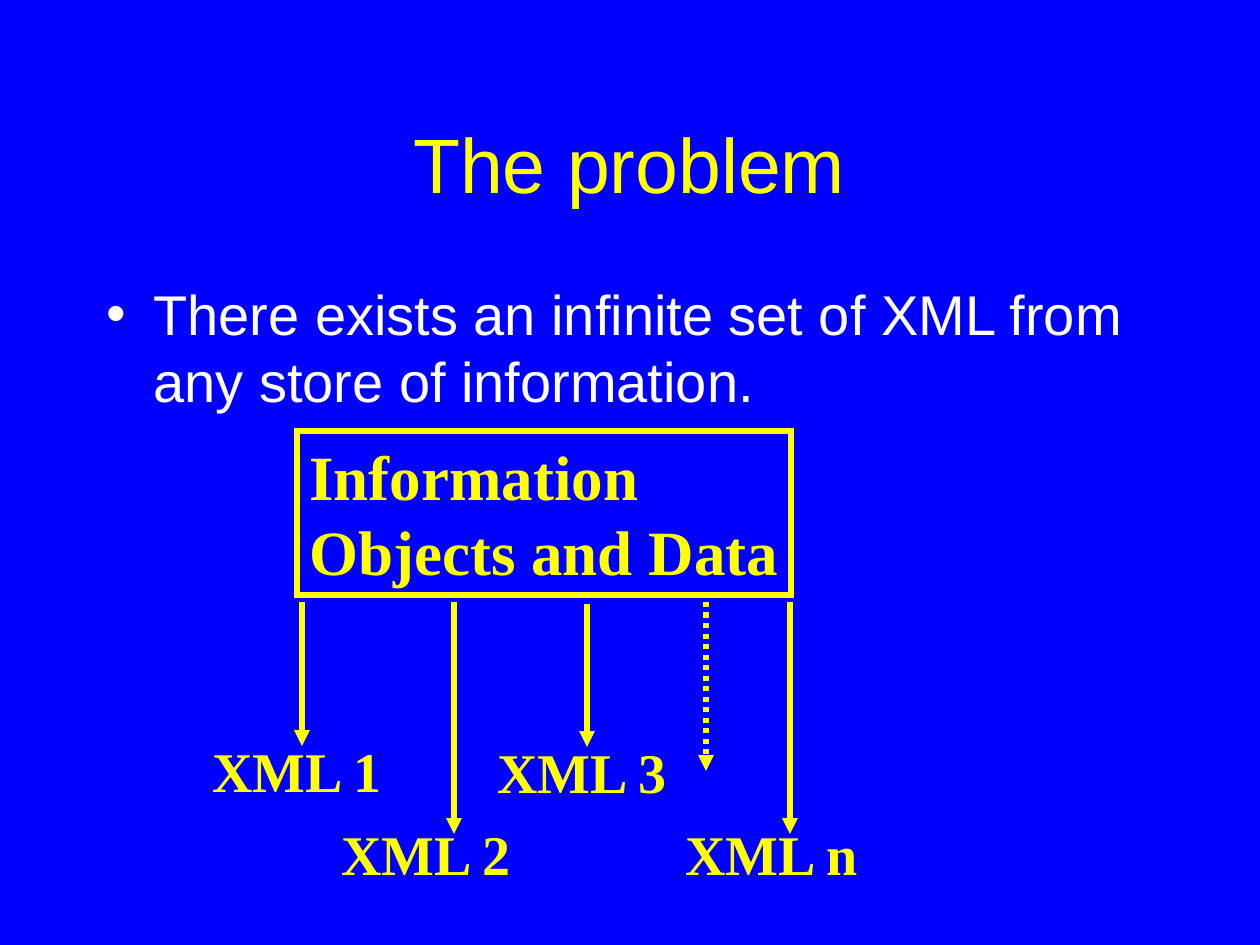
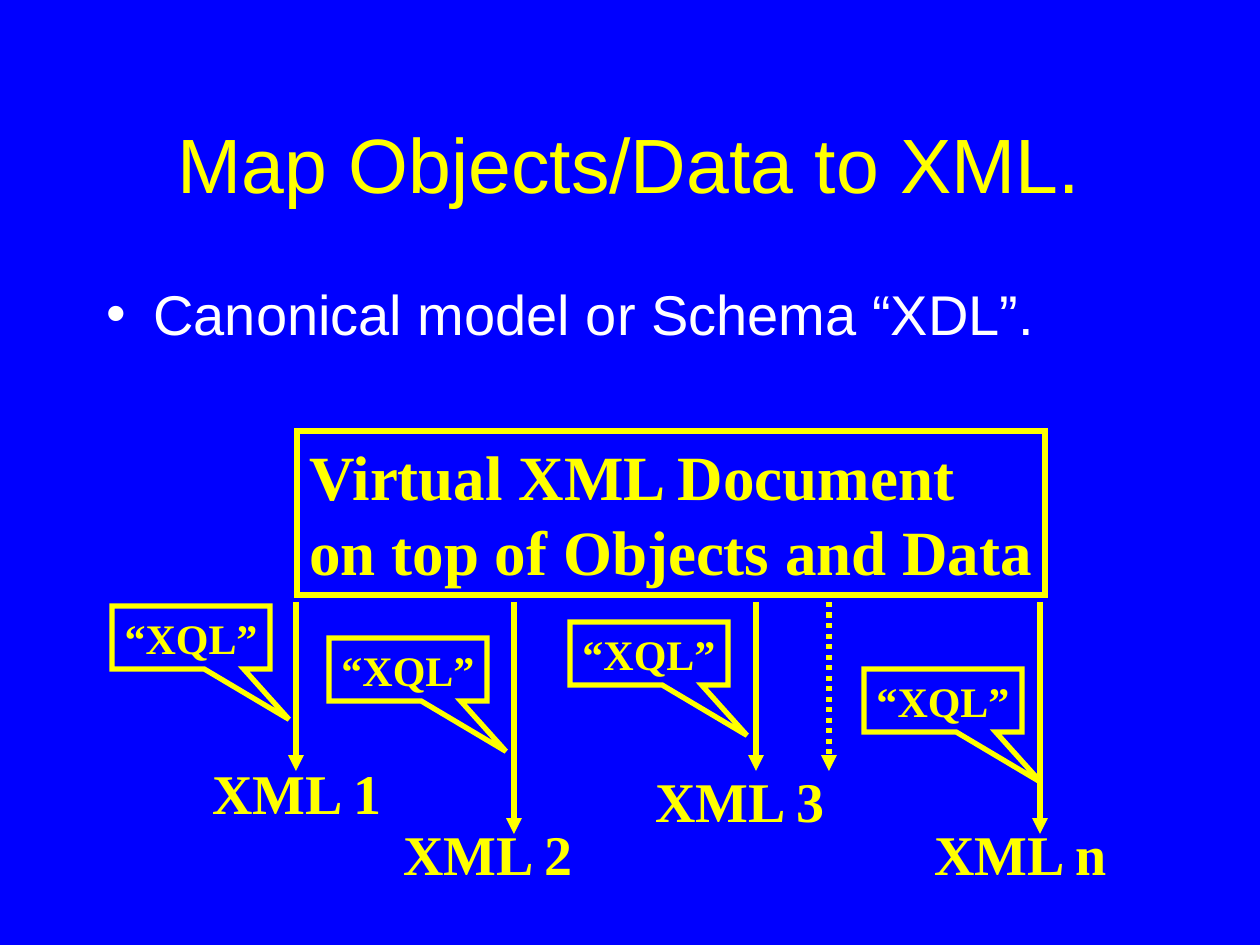
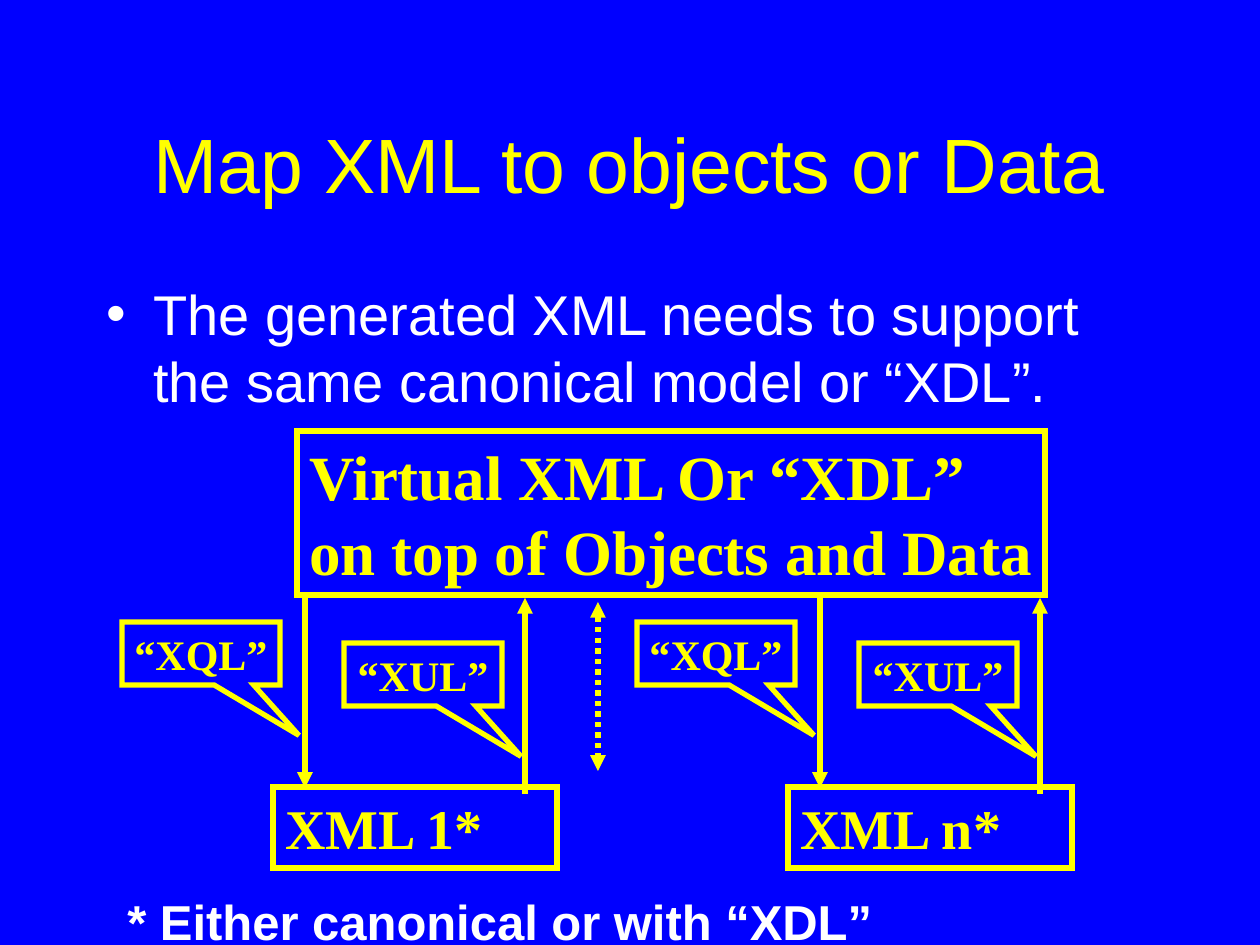
from pptx import Presentation
from pptx.dml.color import RGBColor
from pptx.enum.dml import MSO_LINE as Dash
from pptx.enum.shapes import MSO_CONNECTOR as Conn, MSO_SHAPE as Geo
from pptx.enum.text import MSO_ANCHOR as Anchor, MSO_AUTO_SIZE as Auto, PP_ALIGN as Align
from pptx.oxml.ns import qn
from pptx.util import Pt
from lxml.etree import SubElement as Sub

HUES = {"back": "0000FF", "main": "FFFF00", "body": "FFFFFF"}
SANS, SERIF = "Arial", "Times New Roman"
PX = 914400 / 126
STEP = 515

PAIR = [
    {
        "arrows": [(305 + dx, 598, 788, "down"), (525 + dx, 794, 598, "down")],
        "boxes": [(name, 273 + dx, 787)],
        "calls": [("“XQL”", 122 + dx, 622), ("“XUL”", 344 + dx, 643)],
    }
    for dx, name in ((0, "XML 1*"), (STEP, "XML n*"))
]

SLIDES = [
    {
        "title": "The problem",
        "point": "There exists an infinite set of XML from any store of information.",
        "store": (["Information", "Objects and Data"], 494),
        "arrows": [(302, 602, 746, "down"), (454, 602, 834, "down"), (587, 604, 747, "down"),
                   (706, 602, 771, "dots"), (790, 602, 834, "down")],
        "labels": [("XML 1", 200, 730), ("XML 2", 329, 813), ("XML 3", 485, 731),
                   ("XML n", 673, 813)],
    },
    {
        "title": "Map Objects/Data to XML.",
        "point": "Canonical model or Schema “XDL”.",
        "store": (["Virtual XML Document", "on top of Objects and Data"], 748),
        "arrows": [(296, 602, 771, "down"), (514, 602, 834, "down"), (756, 602, 771, "down"),
                   (829, 602, 771, "dots"), (1040, 602, 834, "down")],
        "labels": [("XML 1", 200, 752), ("XML 2", 391, 813), ("XML 3", 643, 760),
                   ("XML n", 922, 813)],
        "calls": [("“XQL”", 112, 606), ("“XQL”", 329, 638), ("“XQL”", 570, 622),
                  ("“XQL”", 864, 669)],
    },
    {
        "title": "Map XML to objects or Data",
        "point": "The generated XML needs to support the same canonical model or “XDL”.",
        "store": (["Virtual XML Or “XDL”", "on top of Objects and Data"], 748),
        "arrows": PAIR[0]["arrows"] + [(598, 602, 771, "both")] + PAIR[1]["arrows"],
        "boxes": PAIR[0]["boxes"] + PAIR[1]["boxes"],
        "calls": PAIR[0]["calls"] + PAIR[1]["calls"],
        "note": "* Either canonical or with “XDL”",
    },
]


def emu(*vals):
    return [round(v * PX) for v in vals]


def hue(name):
    return RGBColor.from_string(HUES[name])


def write(shape, lines, size, face=SERIF, tone="main", bold=True, align=Align.LEFT,
          anchor=Anchor.TOP, wrap=False, grow=True, bullet=False):
    frame = shape.text_frame
    frame.word_wrap = wrap
    frame.auto_size = Auto.SHAPE_TO_FIT_TEXT if grow else Auto.NONE
    frame.vertical_anchor = anchor
    frame.text = "\n".join(lines)
    for para in frame.paragraphs:
        para.alignment = align
        if bullet:
            props = para._p.get_or_add_pPr()
            dent = emu(47)[0]
            props.set("marL", str(dent))
            props.set("indent", str(-dent))
            Sub(props, qn("a:buFont")).set("typeface", face)
            Sub(props, qn("a:buChar")).set("char", "•")
        font = para.font
        font.name, font.size, font.bold = face, Pt(size), bold
        font.color.rgb = hue(tone)


def text(slide, at, lines, size, **style):
    write(slide.shapes.add_textbox(*emu(*at)), lines, size, **style)


def frame(slide, geo, at, lines, size, **style):
    shape = slide.shapes.add_shape(geo, *emu(*at))
    shape.shadow.inherit = False
    shape.fill.background()
    stroke(shape.line)
    Sub(shape.line._get_or_add_ln(), qn("a:miter")).set("lim", "800000")
    write(shape, lines, size, **style)
    return shape


def stroke(line):
    line.color.rgb = hue("main")
    line.width = Pt(3)


def arrow(slide, x, start, end, kind):
    link = slide.shapes.add_connector(Conn.STRAIGHT, *emu(x, start, x, end))
    stroke(link.line)
    if kind != "down":
        link.line.dash_style = Dash.ROUND_DOT
    ln = link.line._get_or_add_ln()
    for tip in ("a:headEnd", "a:tailEnd") if kind == "both" else ("a:tailEnd",):
        Sub(ln, qn(tip)).set("type", "triangle")
    Sub(link._element.spPr, qn("a:effectLst"))


def build(slide, data):
    text(slide, (94, 84, 1071, 158), [data["title"]], 44, face=SANS, bold=False,
         align=Align.CENTER, anchor=Anchor.MIDDLE, wrap=True, grow=False)
    text(slide, (94, 273, 1071, 567), [data["point"]], 32, face=SANS, tone="body",
         bold=False, wrap=True, grow=False, bullet=True)
    lines, wide = data["store"]
    store = frame(slide, Geo.RECTANGLE, (297, 431, wide, 164), lines, 36)
    store.text_frame.margin_right = 0
    for item in data["arrows"]:
        arrow(slide, *item)
    for name, x, y in data.get("labels", []):
        text(slide, (x, y, 198, 81), [name], 32)
    for name, x, y in data.get("boxes", []):
        frame(slide, Geo.RECTANGLE, (x, y, 284, 81), [name], 32, wrap=True)
    for name, x, y in data.get("calls", []):
        call = frame(slide, Geo.RECTANGULAR_CALLOUT, (x, y, 158, 63), [name], 24,
                     align=Align.CENTER, anchor=Anchor.MIDDLE)
        call.adjustments[0], call.adjustments[1] = 0.62, 1.3
    if "note" in data:
        text(slide, (115, 885, 770, 72), [data["note"]], 28, face=SANS, tone="body")


def main():
    deck = Presentation()
    deck.slide_width, deck.slide_height = emu(1260, 945)
    fill = deck.slide_master.background.fill
    fill.solid()
    fill.fore_color.rgb = hue("back")
    for data in SLIDES:
        build(deck.slides.add_slide(deck.slide_layouts[6]), data)
    deck.save("out.pptx")


if __name__ == "__main__":
    main()
